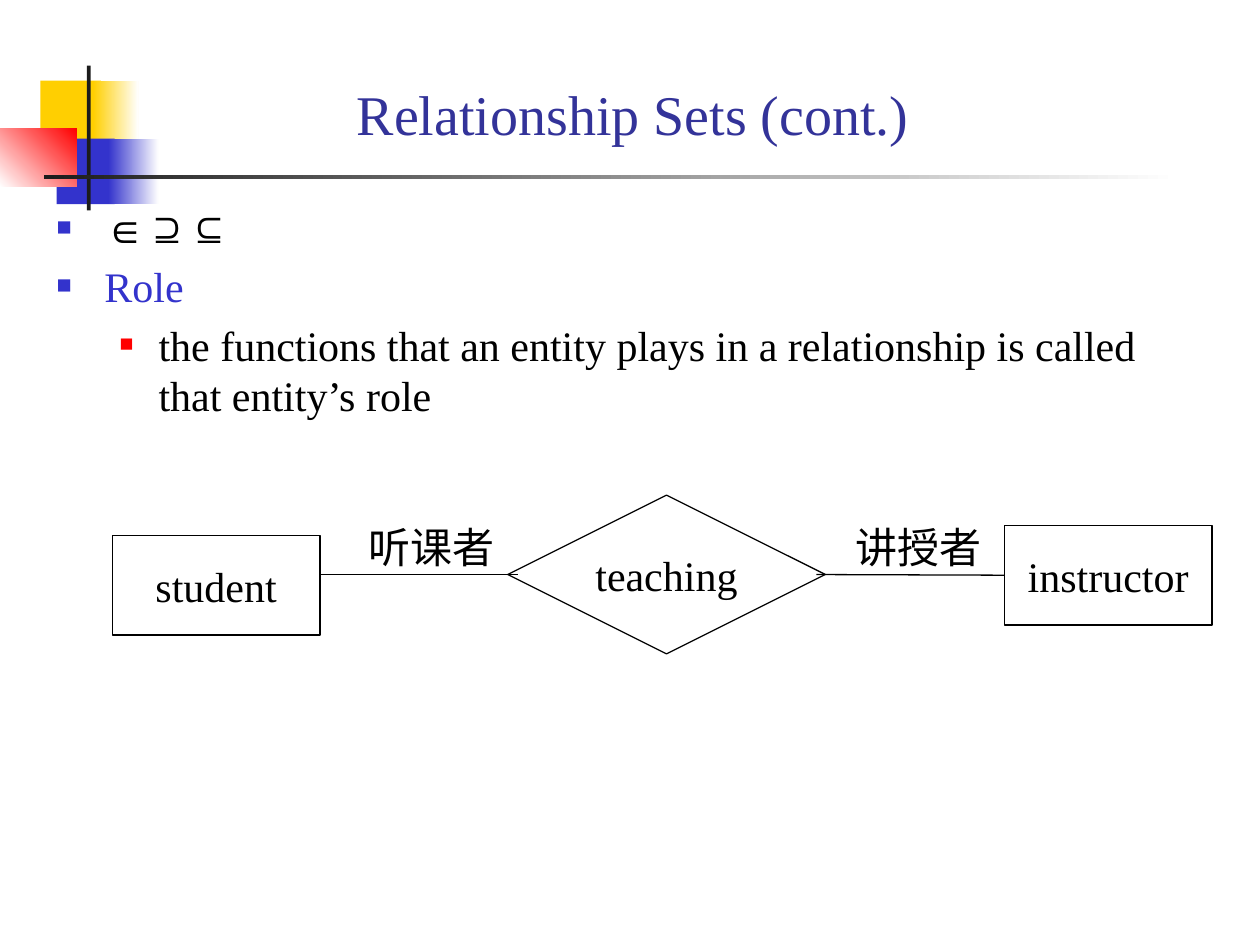
import pptx
import pptx.dml.color
import pptx.enum.shapes
import pptx.enum.text
import pptx.oxml
import pptx.oxml.ns
import pptx.util
from dataclasses import dataclass

Inches, Pt = pptx.util.Inches, pptx.util.Pt
SHAPE = pptx.enum.shapes.MSO_SHAPE
ALIGN = pptx.enum.text.PP_ALIGN
ANCHOR = pptx.enum.text.MSO_ANCHOR


@dataclass(frozen=True)
class Theme:
    font: str = "Times New Roman"
    black: str = "000000"
    white: str = "FFFFFF"
    charcoal: str = "1C1C1C"
    yellow: str = "FFCF01"
    blue: str = "3333CC"
    red: str = "FF0000"
    title: str = "333399"
    title_size: int = 32
    text_size: int = 24
    line_width: float = 0.75


THEME = Theme()

# Content
TITLE = "Relationship Sets (cont.)"
BULLETS = [  # text, text colour, level
    ("∈⊇⊆", THEME.black, 0),
    ("Role", THEME.blue, 0),
    ("the functions that an entity plays in a relationship is called "
     "that entity’s role", THEME.black, 1),
]
LEVELS = [  # left margin, hanging indent, bullet colour, bullet size in %
    (0.38, 0.38, THEME.blue, 60),
    (0.81, 0.31, THEME.red, 55),
]
NODES = {  # preset, left, top, width, height
    "student": (SHAPE.RECTANGLE, 0.89, 4.25, 1.65, 0.79),
    "teaching": (SHAPE.DIAMOND, 4.03, 3.93, 2.52, 1.26),
    "instructor": (SHAPE.RECTANGLE, 7.97, 4.17, 1.65, 0.79),
}
ROLES = [("听课者", 2.83), ("讲授者", 6.69)]
LINK_Y = 4.56
ORNAMENTS = [  # left, top, width, height, colours, gradient angle
    (0.32, 0.64, 0.48, 0.52, [THEME.yellow], 0),
    (0.74, 0.64, 0.36, 0.52, [THEME.yellow, THEME.white], 0),
    (0.45, 1.10, 0.46, 0.52, [THEME.blue], 0),
    (0.86, 1.10, 0.40, 0.52, [THEME.blue, THEME.white], 0),
    (0, 1.02, 0.61, 0.46, [THEME.white, THEME.red], 45),
    (0.69, 0.52, 0.03, 1.15, [THEME.charcoal], 0),
    (0.35, 1.39, 9.00, 0.03, [THEME.charcoal, THEME.white], 0),
]


def rgb(colour):
    return pptx.dml.color.RGBColor.from_string(colour)


def write(paragraph, text, size=THEME.text_size, colour=THEME.black, align=ALIGN.LEFT):
    paragraph.alignment = align
    run = paragraph.add_run()
    run.text = text
    run.font.name = THEME.font
    run.font.size = Pt(size)
    run.font.color.rgb = rgb(colour)


def add_bullet(paragraph, level):
    margin, hanging, colour, percent = LEVELS[level]
    paragraph.level = level
    properties = paragraph._p.get_or_add_pPr()
    properties.set("marL", str(Inches(margin)))
    properties.set("indent", str(-Inches(hanging)))
    namespace = pptx.oxml.ns.nsdecls("a")
    for element in (
        f'<a:buClr {namespace}><a:srgbClr val="{colour}"/></a:buClr>',
        f'<a:buSzPct {namespace} val="{percent * 1000}"/>',
        f'<a:buFont {namespace} typeface="{THEME.font}"/>',
        f'<a:buChar {namespace} char="■"/>',
    ):
        properties.append(pptx.oxml.parse_xml(element))


def add_ornament(slide, left, top, width, height, colours, angle):
    block = slide.shapes.add_shape(
        SHAPE.RECTANGLE, *map(Inches, (left, top, width, height)))
    block.shadow.inherit = False
    block.line.fill.background()
    if len(colours) == 1:
        block.fill.solid()
        block.fill.fore_color.rgb = rgb(colours[0])
        return
    block.fill.gradient()
    block.fill.gradient_angle = angle
    for position, (stop, colour) in enumerate(zip(block.fill.gradient_stops, colours)):
        stop.color.rgb = rgb(colour)
        stop.position = position


def add_node(slide, name, preset, *box):
    node = slide.shapes.add_shape(preset, *map(Inches, box))
    node.shadow.inherit = False
    node.fill.background()
    node.line.color.rgb = rgb(THEME.black)
    node.line.width = Pt(THEME.line_width)
    node.text_frame.word_wrap = False
    node.text_frame.vertical_anchor = ANCHOR.MIDDLE
    write(node.text_frame.paragraphs[0], name, align=ALIGN.CENTER)
    return node


def add_link(slide, start, end):
    link = slide.shapes.add_connector(
        pptx.enum.shapes.MSO_CONNECTOR.STRAIGHT,
        Inches(start), Inches(LINK_Y), Inches(end), Inches(LINK_Y))
    link.line.color.rgb = rgb(THEME.black)
    link.line.width = Pt(THEME.line_width)
    link._element.spPr.append(pptx.oxml.parse_xml(
        f'<a:effectLst {pptx.oxml.ns.nsdecls("a")}/>'))
    return link


def main():
    deck = pptx.Presentation()
    deck.slide_width, deck.slide_height = Inches(10), Inches(7.5)
    slide = deck.slides.add_slide(deck.slide_layouts[5])

    # Corner blocks and rules
    for ornament in ORNAMENTS:
        add_ornament(slide, *ornament)

    # Title
    title = slide.shapes.title
    title.left, title.top = Inches(0.9), Inches(0.52)
    title.width, title.height = Inches(8.25), Inches(0.75)
    title.text_frame.vertical_anchor = ANCHOR.MIDDLE
    write(title.text_frame.paragraphs[0], TITLE, size=THEME.title_size,
          colour=THEME.title, align=ALIGN.CENTER)

    # Bullets
    body = slide.shapes.add_textbox(*map(Inches, (0.35, 1.55, 9.25, 5))).text_frame
    body.word_wrap = True
    for index, (text, colour, level) in enumerate(BULLETS):
        paragraph = body.add_paragraph() if index else body.paragraphs[0]
        if index:
            paragraph.space_before = Pt(THEME.text_size * 0.2)
        add_bullet(paragraph, level)
        write(paragraph, text, colour=colour)

    # Entities and relationship
    nodes = {name: add_node(slide, name, *form) for name, form in NODES.items()}

    # Links run slightly into the diamond
    add_link(slide, 2.54, 4.11)
    add_link(slide, 6.48, 7.97).end_connect(nodes["instructor"], 1)

    # Role labels
    for role, left in ROLES:
        label = slide.shapes.add_textbox(*map(Inches, (left, 4.09, 1.2, 0.5)))
        label.text_frame.word_wrap = False
        write(label.text_frame.paragraphs[0], role)

    deck.save("out.pptx")


if __name__ == "__main__":
    main()
